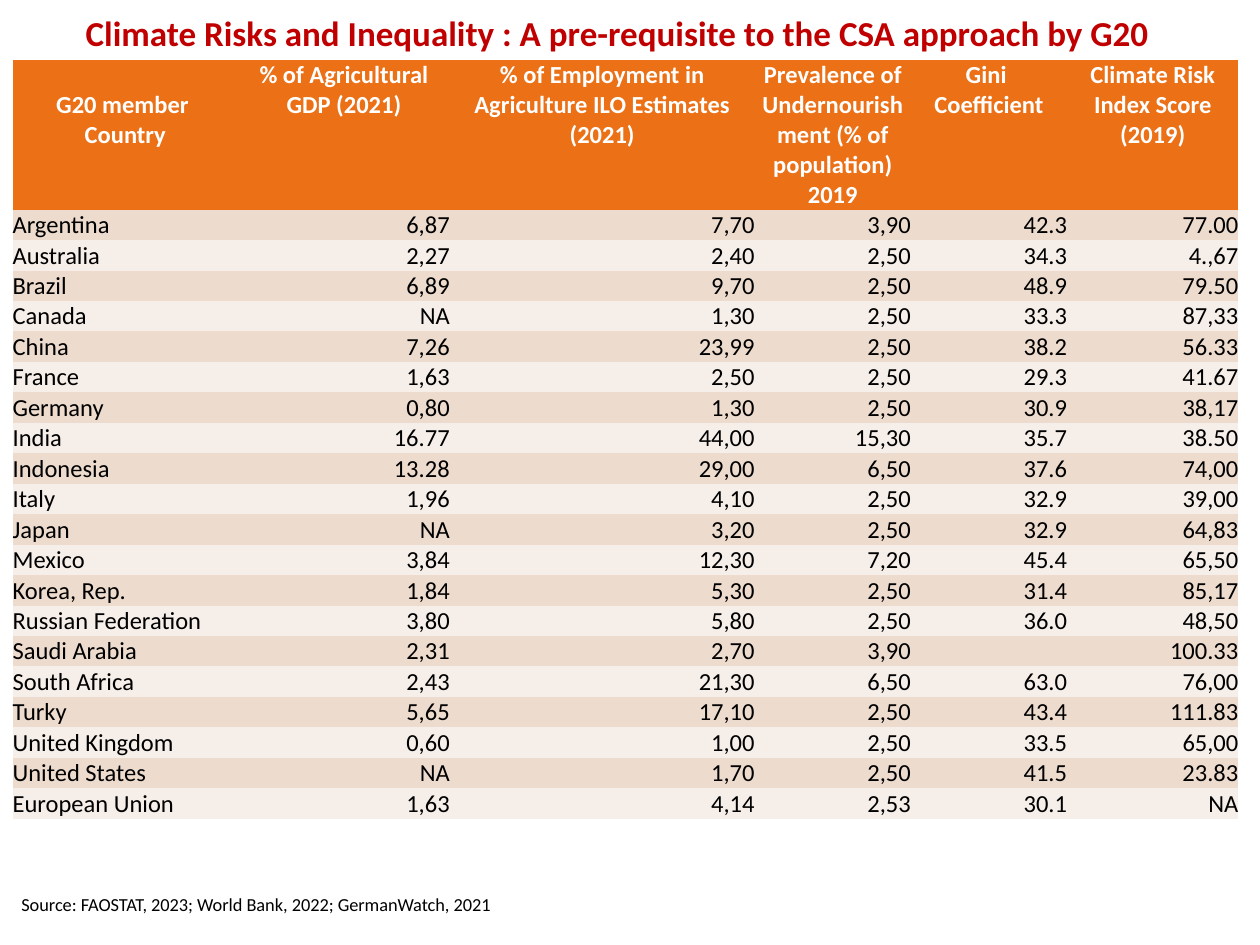
from lxml.etree import SubElement
from pptx import Presentation
from pptx.dml.color import RGBColor
from pptx.enum.text import MSO_ANCHOR as Anchor, MSO_AUTO_SIZE as AutoSize, PP_ALIGN as Align
from pptx.oxml.ns import qn
from pptx.util import Inches, Pt

TITLE = "Climate Risks and Inequality : A pre-requisite to the CSA approach by G20"
SOURCE = "Source: FAOSTAT, 2023; World Bank, 2022; GermanWatch, 2021"
HEADERS = [
    "G20 member \nCountry",
    "% of Agricultural GDP (2021)",
    "% of Employment in Agriculture ILO Estimates (2021)",
    "Prevalence of Undernourishment (% of population) 2019",
    "Gini \nCoefficient",
    "Climate Risk Index Score (2019)",
]
COUNTRIES = [
    ("Argentina", "6,87", "7,70", "3,90", "42.3", "77.00"),
    ("Australia", "2,27", "2,40", "2,50", "34.3", "4.,67"),
    ("Brazil", "6,89", "9,70", "2,50", "48.9", "79.50"),
    ("Canada", "NA", "1,30", "2,50", "33.3", "87,33"),
    ("China", "7,26", "23,99", "2,50", "38.2", "56.33"),
    ("France", "1,63", "2,50", "2,50", "29.3", "41.67"),
    ("Germany", "0,80", "1,30", "2,50", "30.9", "38,17"),
    ("India", "16.77", "44,00", "15,30", "35.7", "38.50"),
    ("Indonesia", "13.28", "29,00", "6,50", "37.6", "74,00"),
    ("Italy", "1,96", "4,10", "2,50", "32.9", "39,00"),
    ("Japan", "NA", "3,20", "2,50", "32.9", "64,83"),
    ("Mexico", "3,84", "12,30", "7,20", "45.4", "65,50"),
    ("Korea, Rep.", "1,84", "5,30", "2,50", "31.4", "85,17"),
    ("Russian Federation", "3,80", "5,80", "2,50", "36.0", "48,50"),
    ("Saudi Arabia", "2,31", "2,70", "3,90", "", "100.33"),
    ("South Africa", "2,43", "21,30", "6,50", "63.0", "76,00"),
    ("Turky", "5,65", "17,10", "2,50", "43.4", "111.83"),
    ("United Kingdom", "0,60", "1,00", "2,50", "33.5", "65,00"),
    ("United States", "NA", "1,70", "2,50", "41.5", "23.83"),
    ("European Union", "1,63", "4,14", "2,53", "30.1", "NA"),
]
COLUMN_WIDTHS = [1.79, 1.68, 2.42, 1.24, 1.24, 1.36]
TABLE_HEIGHT, HEADER_HEIGHT, LINE_HEIGHT = 6.02, 1.18, 0.24
BANDS = ["EDDBCE", "F6EEE8"]
NO_STYLE_NO_GRID = "{2D5ABB26-0587-4C30-8999-92F81FD0307C}"


def color(value):
    return RGBColor.from_string(value)


def format_text(frame, size, ink, bold=False, align=Align.LEFT):
    for paragraph in frame.paragraphs:
        paragraph.alignment = align
        font = paragraph.font
        font.name, font.size, font.bold = "Calibri", Pt(size), bold
        font.color.rgb = color(ink)


def fill_cell(cell, text, fill, ink, bold, align, anchor):
    cell.fill.solid()
    cell.fill.fore_color.rgb = color(fill)
    cell.margin_left = cell.margin_right = cell.margin_top = cell.margin_bottom = 0
    cell.vertical_anchor = anchor
    cell.text = text
    format_text(cell.text_frame, 14, ink, bold, align)
    if not text:
        SubElement(cell.text_frame.paragraphs[0]._p, qn("a:endParaRPr"), sz="1400")


def add_country_table(slide):
    row_count = len(COUNTRIES) + 1
    frame = slide.shapes.add_table(row_count, len(HEADERS), Inches(0.1), Inches(0.48),
                                   Inches(sum(COLUMN_WIDTHS)), Inches(TABLE_HEIGHT))
    table = frame.table
    table._tbl.tblPr.find(qn("a:tableStyleId")).text = NO_STYLE_NO_GRID
    table.horz_banding = False
    for column, width in zip(table.columns, COLUMN_WIDTHS):
        column.width = Inches(width)
    body_height = (TABLE_HEIGHT - HEADER_HEIGHT) / len(COUNTRIES)
    for index, row in enumerate(table.rows):
        row.height = Inches(body_height if index else HEADER_HEIGHT)

    for column, text in enumerate(HEADERS):
        fill_cell(table.cell(0, column), text, "EC7016", "FFFFFF", True, Align.CENTER, Anchor.TOP)
    table.cell(0, 0).margin_top = Inches(LINE_HEIGHT)
    for index, values in enumerate(COUNTRIES):
        for column, text in enumerate(values):
            align = Align.RIGHT if column else Align.LEFT
            fill_cell(table.cell(index + 1, column), text, BANDS[index % 2], "000000",
                      False, align, Anchor.BOTTOM)


def add_source(slide):
    box = slide.shapes.add_textbox(Inches(0.1), Inches(7.07), Inches(6.77), Inches(0.4))
    frame = box.text_frame
    frame.word_wrap = True
    frame.margin_left = frame.margin_right = Inches(0.07)
    frame.margin_top = frame.margin_bottom = Inches(0.04)
    frame.text = SOURCE
    frame.paragraphs[0].line_spacing = 0.9
    format_text(frame, 10.5, "000000")


def add_title(slide):
    title = slide.shapes.title
    title.left, title.top = Inches(0.58), Inches(0.04)
    title.width, title.height = Inches(8.84), Inches(0.44)
    frame = title.text_frame
    frame.text = TITLE
    frame.auto_size = AutoSize.NONE
    frame.vertical_anchor = Anchor.TOP
    format_text(frame, 20, "C00000", bold=True)


def main():
    presentation = Presentation()
    presentation.slide_width, presentation.slide_height = Inches(10), Inches(7.5)
    slide = presentation.slides.add_slide(presentation.slide_layouts[5])
    add_title(slide)
    add_country_table(slide)
    add_source(slide)
    presentation.save("out.pptx")


if __name__ == "__main__":
    main()
